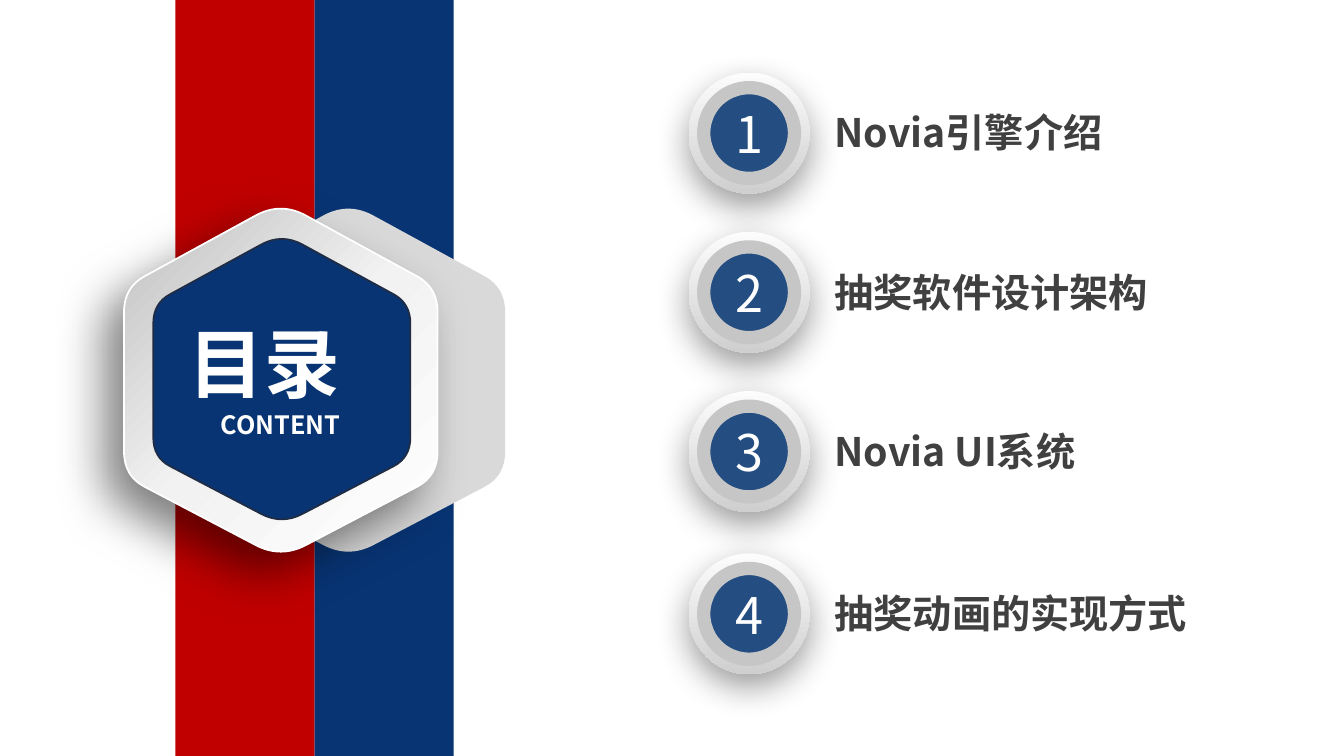
from lxml import etree
from pptx import Presentation, util as u
from pptx.dml.color import RGBColor
from pptx.enum import shapes, text
from pptx.oxml.ns import qn

COLORS = {
    "navy": "083473", "red": "C00000", "plate": "D9D9D9", "edge": "FFFFFF",
    "navy_edge": "202C44", "button": "244D81", "ring": "C6C6C6",
    "white": "FFFFFF", "body": "404040", "shadow": "000000",
}
FONT = "Noto Sans CJK SC"
METAL = [(0, "FFFFFF"), (50, "F2F2F2"), (100, "BFBFBF")]
RIM = [(0, "FCFCFC"), (100, "CFCFCF")]
# Each topic with its distance below the first
TOPICS = [(0, "Novia引擎介绍"), (1.58, "抽奖软件设计架构"),
          (3.16, "Novia UI系统"), (4.77, "抽奖动画的实现方式")]
# Corners of the badge as shares of its box, and the share of each side cut off
HEXAGON = [(0.5, -0.02, 0.16), (1, 0.23, 0.13), (1, 0.78, 0.13),
           (0.5, 1.02, 0.16), (0, 0.78, 0.13), (0, 0.23, 0.13)]


def rgb(name):
    """Return the named colour."""
    return RGBColor.from_string(COLORS[name])


def paint(shape, fill=None, line=None, width=1.25):
    """Give a shape a flat fill and an outline, without a shadow."""
    shape.shadow.inherit = False
    if fill:
        shape.fill.solid()
        shape.fill.fore_color.rgb = rgb(fill)
    if line:
        shape.line.color.rgb = rgb(line)
        shape.line.width = u.Pt(width)
    else:
        shape.line.fill.background()


def add_gradient(shape, stops, angle):
    """Fill a shape with a linear gradient; the angle runs clockwise."""
    shape.fill.gradient()
    shape.fill.gradient_angle = (360 - angle) % 360
    stop_list = shape._element.spPr.find(qn("a:gradFill")).find(qn("a:gsLst"))
    for stop in list(stop_list):
        stop_list.remove(stop)
    for position, color in stops:
        stop = etree.SubElement(stop_list, qn("a:gs"), pos=str(position * 1000))
        etree.SubElement(stop, qn("a:srgbClr"), val=color)


def add_shadow(shape, opacity, blur, distance, angle):
    """Cast an outer shadow from a painted shape."""
    effects = shape._element.spPr.find(qn("a:effectLst"))
    shadow = etree.SubElement(
        effects, qn("a:outerShdw"), blurRad=str(u.Pt(blur)), dist=str(u.Pt(distance)),
        dir=str(angle * 60000), algn="ctr", rotWithShape="0")
    color = etree.SubElement(shadow, qn("a:srgbClr"), val=COLORS["shadow"])
    etree.SubElement(color, qn("a:alpha"), val=str(opacity * 1000))


def write(shape, words, size, color, align=text.PP_ALIGN.LEFT, **frame_format):
    """Write one styled line into a shape."""
    frame = shape.text_frame
    for name, value in frame_format.items():
        setattr(frame, name, value)
    paragraph = frame.paragraphs[0]
    paragraph.alignment = align
    run = paragraph.add_run()
    run.text = words
    bold = align == text.PP_ALIGN.LEFT
    for name, value in {"size": u.Pt(size), "bold": bold, "name": FONT}.items():
        setattr(run.font, name, value)
    run.font.color.rgb = rgb(color)
    etree.SubElement(run._r.get_or_add_rPr(), qn("a:ea"), typeface=FONT)


def add_preset(parent, kind, left, top, width, height):
    """Add a preset shape measured in inches."""
    return parent.shapes.add_shape(kind, *map(u.Inches, (left, top, width, height)))


def add_label(parent, box, words, size, color, wrap=True):
    """Add a bold text box."""
    label = parent.shapes.add_textbox(*map(u.Inches, box))
    write(label, words, size, color, word_wrap=wrap)


def round_corners(shape):
    """Turn each start, middle and end of a corner into one quadratic curve."""
    nodes = list(next(shape._element.iter(qn("a:moveTo"))).getparent())
    for first in range(0, 3 * len(HEXAGON), 3):
        start, middle, end = (node[0] for node in nodes[first:first + 3])
        for axis in "xy":
            a, b, c = (int(point.get(axis)) for point in (start, middle, end))
            middle.set(axis, str(2 * b - (a + c) // 2))
        curve = etree.Element(qn("a:quadBezTo"))
        nodes[first + 1].addprevious(curve)
        curve.extend([middle, end])
        for node in nodes[first + 1:first + 3]:
            node.getparent().remove(node)


def add_hexagon(parent, left, top, width, height):
    """Add a hexagon with rounded corners."""
    corners = [(left + x * width, top + y * height) for x, y, _ in HEXAGON]
    points = []
    for index, corner in enumerate(corners):
        cut = HEXAGON[index][2]
        before, after = corners[index - 1], corners[(index + 1) % len(corners)]
        start, end = ([c + (n - c) * cut for c, n in zip(corner, neighbour)]
                      for neighbour in (before, after))
        middle = [(a + 2 * b + c) / 4 for a, b, c in zip(start, corner, end)]
        points += [tuple(map(u.Inches, point)) for point in (start, middle, end)]
    builder = parent.shapes.build_freeform(*points[0])
    builder.add_line_segments(points[1:], close=True)
    shape = builder.convert_to_shape()
    round_corners(shape)
    return shape


def add_stripes(slide, left, top, width, height):
    """Fill the box with two equal upright stripes."""
    for index, color in enumerate(("red", "navy")):
        stripe = add_preset(slide, shapes.MSO_SHAPE.RECTANGLE,
                            left + index * width / 2, top, width / 2, height)
        paint(stripe, color)


def add_badge(slide, left, top, width, height):
    """Add the title badge with its offset back plate."""
    group = slide.shapes.add_group_shape()
    paint(add_hexagon(group, left + 0.67, top, width, height), "plate")
    frame = add_hexagon(group, left, top, width, height)
    paint(frame, line="edge")
    add_gradient(frame, METAL, 225)
    add_shadow(frame, 50, 35, 20, 135)
    face = add_hexagon(group, left + 0.29, top + 0.3, width - 0.56, height - 0.62)
    paint(face, "navy", "navy_edge")
    add_label(slide, (left + 0.54, top + 1.02, 1.99, 1.01), "目录", 54, "white")
    add_label(slide, (left + 0.86, top + 1.94, 1.42, 0.4), "CONTENT", 18, "white", False)


def add_topic(slide, left, top, size, number, words):
    """Add a numbered round button and its topic."""
    group = slide.shapes.add_group_shape()
    rim = add_preset(group, shapes.MSO_SHAPE.OVAL, left, top, size, size)
    paint(rim)
    add_gradient(rim, RIM, 90)
    add_shadow(rim, 40, 25, 9, 90)
    inset = 0.15
    button = add_preset(group, shapes.MSO_SHAPE.OVAL, left + inset, top + inset,
                        size - 2 * inset, size - 2 * inset)
    paint(button, "button", "ring", 9.5)
    write(button, str(number), 36, "white", text.PP_ALIGN.CENTER,
          vertical_anchor=text.MSO_ANCHOR.MIDDLE)
    add_label(group, (left + size + 0.15, top + 0.31, 3.85, 0.57), words, 28, "body")


def add_topics(slide, left, top):
    """Stack the numbered topics."""
    for number, (offset, words) in enumerate(TOPICS, 1):
        add_topic(slide, left, top + offset, 1.2, number, words)


def main():
    """Build the contents slide."""
    presentation = Presentation()
    presentation.slide_width = u.Inches(13.33)
    presentation.slide_height = u.Inches(7.5)
    slide = presentation.slides.add_slide(presentation.slide_layouts[6])
    add_stripes(slide, 1.74, 0, 2.76, 7.5)
    add_badge(slide, 1.23, 2.07, 3.11, 3.4)
    add_topics(slide, 6.83, 0.72)
    presentation.save("out.pptx")


main()
